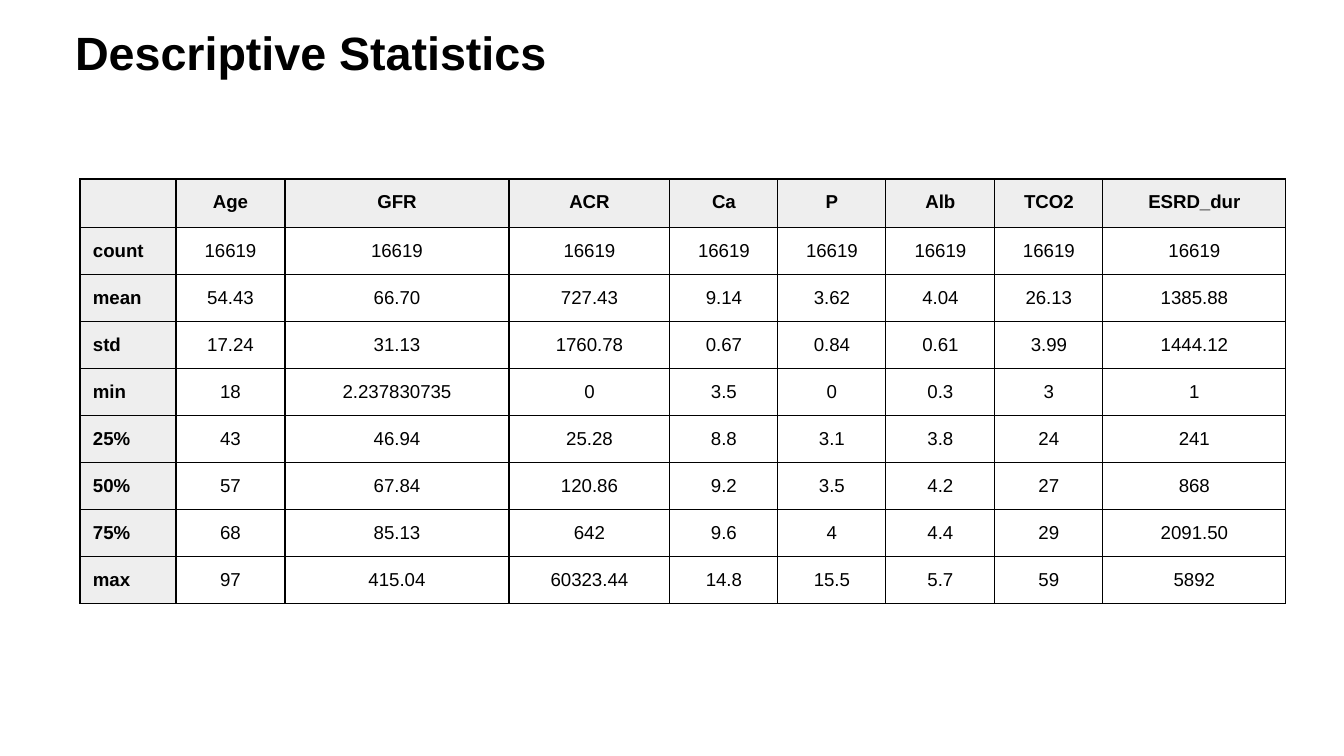
from dataclasses import dataclass

from pptx import Presentation
from pptx.dml.color import RGBColor
from pptx.enum.text import MSO_ANCHOR as Anchor, PP_ALIGN as Align
from pptx.oxml import parse_xml
from pptx.oxml.ns import nsdecls
from pptx.util import Emu, Pt

EMU_PER_PX = 914400 / 134.4
TITLE_ONLY = 5


@dataclass(frozen=True)
class Theme:
    font: str = "Arial"
    ink: str = "000000"
    paper: str = "FFFFFF"
    header: str = "EEEEEE"
    title_size: int = 25
    cell_size: int = 10
    border: float = 0.75
    inset: int = 13


COLUMN_WIDTHS = [96, 109, 224, 161, 108, 108, 109, 108, 183]
ROW_HEIGHT = 47
STATISTICS = [
    ["", "Age", "GFR", "ACR", "Ca", "P", "Alb", "TCO2", "ESRD_dur"],
    ["count"] + ["16619"] * 8,
    ["mean", "54.43", "66.70", "727.43", "9.14", "3.62", "4.04", "26.13", "1385.88"],
    ["std", "17.24", "31.13", "1760.78", "0.67", "0.84", "0.61", "3.99", "1444.12"],
    ["min", "18", "2.237830735", "0", "3.5", "0", "0.3", "3", "1"],
    ["25%", "43", "46.94", "25.28", "8.8", "3.1", "3.8", "24", "241"],
    ["50%", "57", "67.84", "120.86", "9.2", "3.5", "4.2", "27", "868"],
    ["75%", "68", "85.13", "642", "9.6", "4", "4.4", "29", "2091.50"],
    ["max", "97", "415.04", "60323.44", "14.8", "15.5", "5.7", "59", "5892"],
]


def px(length):
    return Emu(round(length * EMU_PER_PX))


def write(frame, text, *, font, size, color, bold=False, align=Align.LEFT):
    paragraph = frame.paragraphs[0]
    paragraph.alignment = align
    if not text:
        # An empty cell takes its line height from the end mark.
        paragraph._p.append(parse_xml(f'<a:endParaRPr {nsdecls("a")} sz="{size * 100}"/>'))
        return
    run = paragraph.add_run()
    run.text = text
    run.font.name = font
    run.font.size = Pt(size)
    run.font.bold = bold
    run.font.color.rgb = RGBColor.from_string(color)


class SlideBuilder:
    def __init__(self, presentation, theme):
        self.theme = theme
        self.slide = presentation.slides.add_slide(presentation.slide_layouts[TITLE_ONLY])

    def set_insets(self, target):
        """Give a text frame or a table cell the theme's margin on all sides."""
        for side in ("left", "top", "right", "bottom"):
            setattr(target, f"margin_{side}", px(self.theme.inset))

    def title(self, text, left, top, width, height):
        shape = self.slide.shapes.title
        shape.left, shape.top, shape.width, shape.height = map(px, (left, top, width, height))
        frame = shape.text_frame
        frame.word_wrap = True
        frame.vertical_anchor = Anchor.TOP
        self.set_insets(frame)
        write(frame, text, font=self.theme.font, size=self.theme.title_size,
              color=self.theme.ink, bold=True)

    def border(self, cell):
        properties = cell._tc.get_or_add_tcPr()
        for position, edge in enumerate(("lnL", "lnR", "lnT", "lnB")):
            properties.insert(position, parse_xml(
                f'<a:{edge} {nsdecls("a")} w="{Pt(self.theme.border)}"><a:solidFill>'
                f'<a:srgbClr val="{self.theme.ink}"/></a:solidFill></a:{edge}>'))

    def table(self, rows, left, top, column_widths, row_height):
        """Draw a bordered grid whose first row and first column are headers."""
        theme = self.theme
        table = self.slide.shapes.add_table(
            len(rows), len(column_widths), px(left), px(top),
            px(sum(column_widths)), px(row_height * len(rows))).table
        table.first_row = table.horz_banding = False
        for column, width in zip(table.columns, column_widths):
            column.width = px(width)
        for row_index, values in enumerate(rows):
            table.rows[row_index].height = px(row_height)
            for column_index, value in enumerate(values):
                cell = table.cell(row_index, column_index)
                is_header = row_index == 0 or column_index == 0
                self.set_insets(cell)
                cell.fill.solid()
                cell.fill.fore_color.rgb = RGBColor.from_string(
                    theme.header if is_header else theme.paper)
                self.border(cell)
                write(cell.text_frame, value, font=theme.font, size=theme.cell_size,
                      color=theme.ink, bold=is_header,
                      align=Align.CENTER if column_index else Align.LEFT)


def main():
    presentation = Presentation()
    presentation.slide_width, presentation.slide_height = px(1344), px(756)
    builder = SlideBuilder(presentation, Theme())
    builder.title("Descriptive Statistics", 62, 11, 952, 117)
    builder.table(STATISTICS, 80, 179, COLUMN_WIDTHS, ROW_HEIGHT)
    presentation.save("out.pptx")


if __name__ == "__main__":
    main()
